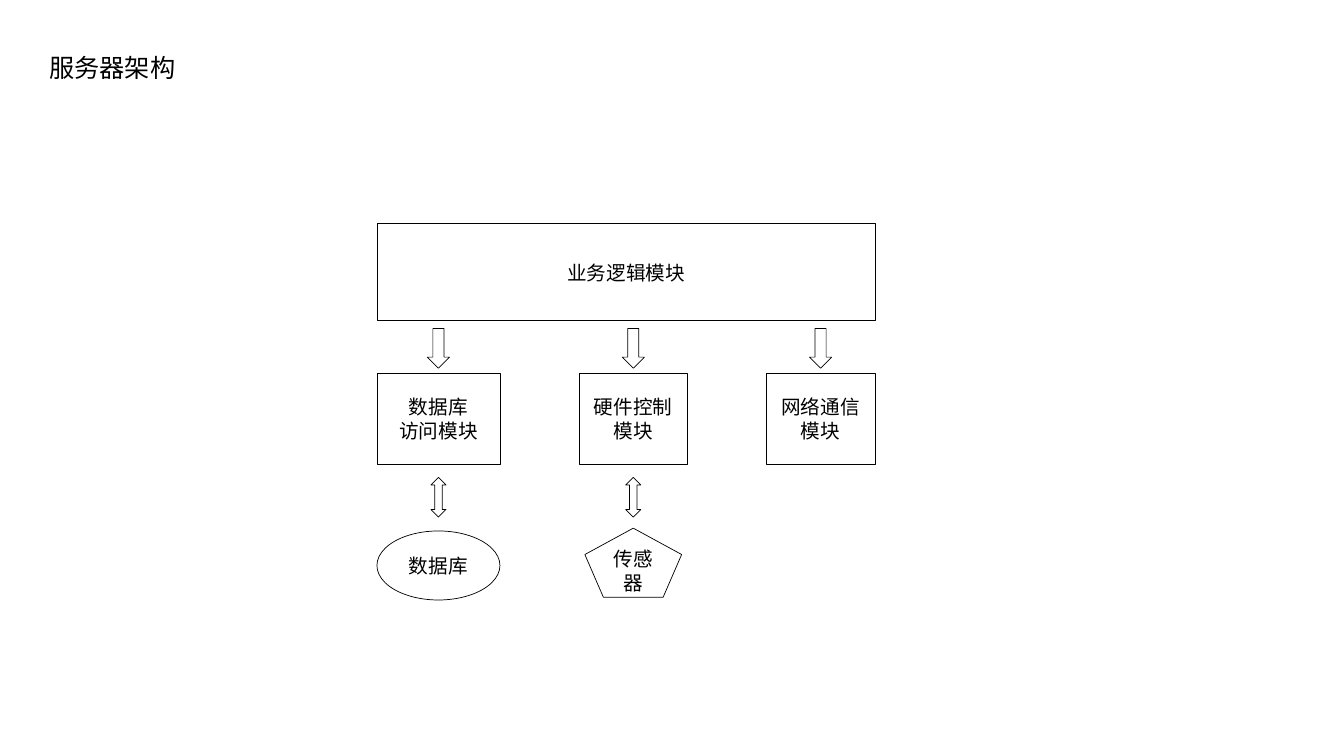
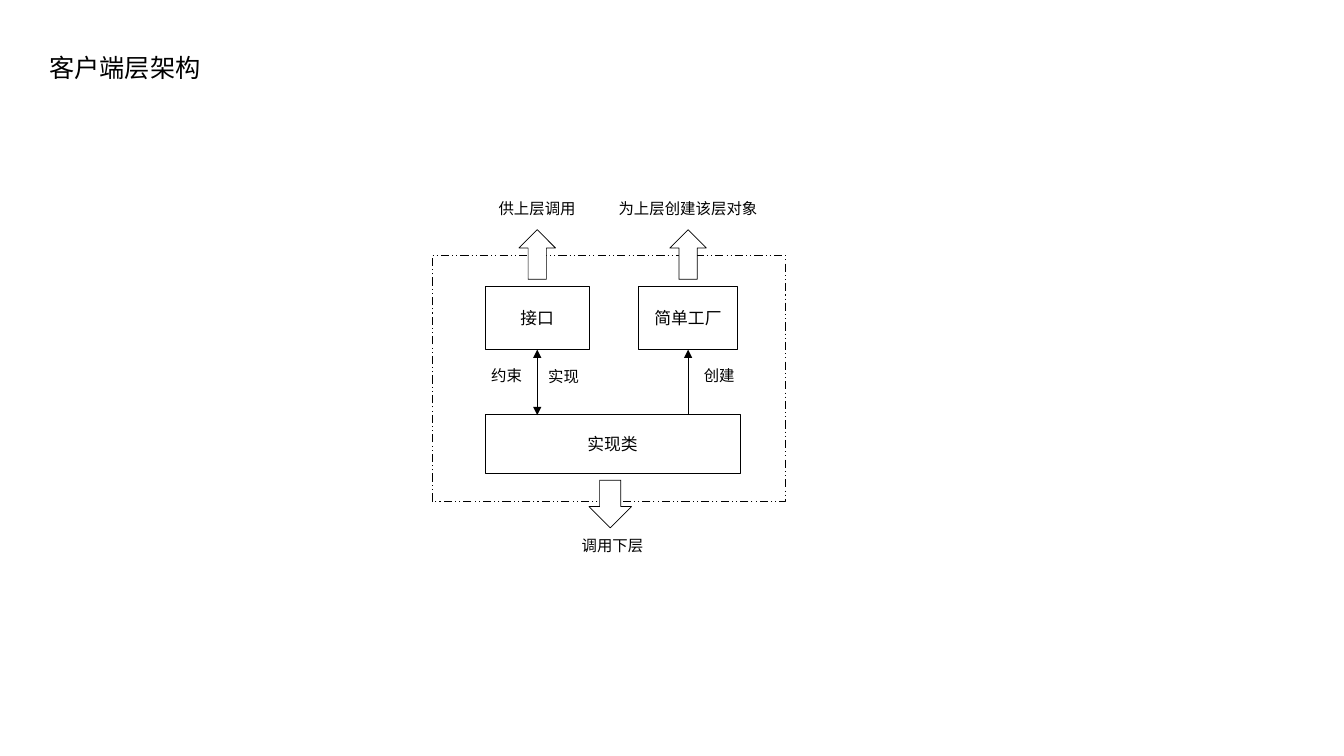
from dataclasses import dataclass
from typing import Any

from lxml.etree import SubElement
from pptx import Presentation
from pptx.dml.color import RGBColor
from pptx.enum.dml import MSO_LINE
from pptx.enum.shapes import MSO_CONNECTOR, MSO_SHAPE
from pptx.enum.text import MSO_ANCHOR, MSO_AUTO_SIZE, PP_ALIGN
from pptx.oxml.ns import qn
from pptx.util import Cm, Pt

FONT = "Noto Sans CJK SC"
INK, PAPER = "000000", "FFFFFF"
PAD = 0.51  # left and right inset of a text box together, cm
PT_CM = 2.54 / 72

BOX_TEXT = {"word_wrap": True, "vertical_anchor": MSO_ANCHOR.MIDDLE}
FREE_TEXT = {"word_wrap": False, "vertical_anchor": MSO_ANCHOR.TOP,
             "auto_size": MSO_AUTO_SIZE.NONE}


@dataclass
class Block:
    """A preset shape, placed by its centre line and top, in cm."""
    mid: float
    top: float
    width: float
    height: float
    kind: Any = MSO_SHAPE.RECTANGLE
    text: str = ""
    size: float = 14
    fill: bool = True
    weight: float = 0.5
    dash: Any = None


@dataclass
class Label:
    """A one-line text, placed by its centre line and top, in cm."""
    text: str
    mid: float
    top: float


@dataclass
class Link:
    """An upright line with arrowheads, in cm."""
    mid: float
    start: float
    end: float
    ends: tuple[str, ...]


def tint(code: str) -> RGBColor:
    """Turn a hex string into a colour."""
    return RGBColor.from_string(code)


def apply(item: Any, form: dict[str, Any]) -> None:
    """Set each named value on an object."""
    for name, value in form.items():
        setattr(item, name, value)


def write(frame: Any, text: str, size: float, align: Any, form: dict[str, Any]) -> None:
    """Fill a text frame, one paragraph a line, in the deck's font."""
    apply(frame, form)
    frame.text = text
    for para in frame.paragraphs:
        para.alignment = align
        for run in para.runs:
            apply(run.font, {"name": FONT, "size": Pt(size), "bold": False})
            run.font.color.rgb = tint(INK)
            SubElement(run.font._element, qn("a:ea"), typeface=FONT)


def span(text: str, size: float) -> float:
    """Width in cm of a box that holds full-width signs on one line."""
    return len(text) * size * PT_CM + PAD


def draw_block(slide: Any, item: Block) -> None:
    """Draw one outlined shape with its text."""
    shape = slide.shapes.add_shape(
        item.kind, Cm(item.mid - item.width / 2), Cm(item.top),
        Cm(item.width), Cm(item.height))
    shape.shadow.inherit = False
    if item.fill:
        shape.fill.solid()
        shape.fill.fore_color.rgb = tint(PAPER)
    else:
        shape.fill.background()
    shape.line.color.rgb = tint(INK)
    apply(shape.line, {"width": Pt(item.weight), "dash_style": item.dash})
    if item.text:
        write(shape.text_frame, item.text, item.size, PP_ALIGN.CENTER, BOX_TEXT)


def draw_label(slide: Any, item: Label) -> None:
    """Draw one small text."""
    wide = span(item.text, 11)
    box = slide.shapes.add_textbox(
        Cm(item.mid - wide / 2), Cm(item.top), Cm(wide), Cm(0.74))
    write(box.text_frame, item.text, 11, PP_ALIGN.LEFT, FREE_TEXT)


def draw_link(slide: Any, item: Link) -> None:
    """Draw one line with its arrowheads."""
    line = slide.shapes.add_connector(
        MSO_CONNECTOR.STRAIGHT, Cm(item.mid), Cm(item.start),
        Cm(item.mid), Cm(item.end))
    line.line.color.rgb = tint(INK)
    line.line.width = Pt(0.5)
    stroke = line.line._get_or_add_ln()
    for end in item.ends:
        SubElement(stroke, qn(f"a:{end}"), type="triangle")
    SubElement(line._element.spPr, qn("a:effectLst"))


DRAW = {Block: draw_block, Label: draw_label, Link: draw_link}


def add_page(deck: Any, title: str, items: list[Any]) -> None:
    """Add a slide with a title and draw its items from back to front."""
    slide = deck.slides.add_slide(deck.slide_layouts[5])
    head = slide.shapes.title
    apply(head, {"left": Cm(0.99), "top": Cm(1.19),
                 "width": Cm(span(title, 18)), "height": Cm(1.02)})
    write(head.text_frame, title, 18, PP_ALIGN.LEFT, FREE_TEXT)
    for item in items:
        DRAW[type(item)](slide, item)


def server() -> list[Any]:
    """List the parts of the server: logic, modules and what they drive."""
    data, ware, net = 11.05, 15.96, 20.68
    parts = [Block(15.78, 5.64, 12.55, 2.44, text="业务逻辑模块")]
    for mid, wide, text in ((data, 3.1, "数据库\n访问模块"),
                            (ware, 2.74, "硬件控制模块"),
                            (net, 2.74, "网络通信模块")):
        parts += [Block(mid, 9.4, wide, 2.3, text=text),
                  Block(mid, 8.28, 0.56, 1, MSO_SHAPE.DOWN_ARROW)]
    for mid, top, wide, kind, text in (
            (data, 13.38, 3.1, MSO_SHAPE.OVAL, "数据库"),
            (ware, 13.31, 2.44, MSO_SHAPE.REGULAR_PENTAGON, "传感器")):
        parts += [Block(mid, top, wide, 1.74, kind, text),
                  Block(mid, 12.03, 0.38, 1, MSO_SHAPE.UP_DOWN_ARROW)]
    return parts


def client() -> list[Any]:
    """List the parts of a client layer and its links to other layers."""
    face, plant, core = 13.54, 17.34, 15.44
    parts = [Block(15.34, 6.43, 8.9, 6.2, fill=False, weight=0.75,
                   dash=MSO_LINE.DASH_DOT_DOT),
             Block(core, 10.44, 6.43, 1.5, text="实现类", size=12)]
    for mid, wide, text, use in ((face, 2.62, "接口", "供上层调用"),
                                 (plant, 2.49, "简单工厂", "为上层创建该层对象")):
        parts += [Block(mid, 7.21, wide, 1.6, text=text, size=12),
                  Block(mid, 5.79, 0.92, 1.25, MSO_SHAPE.UP_ARROW),
                  Label(use, mid, 4.9)]
    return parts + [
        Block(15.38, 12.1, 1.07, 1.2, MSO_SHAPE.DOWN_ARROW),
        Label("调用下层", core, 13.39),
        Label("约束", 12.77, 9.09),
        Label("实现", 14.21, 9.12),
        Label("创建", 18.13, 9.1),
        Link(plant, 10.44, 8.81, ("tailEnd",)),
        Link(face, 8.81, 10.46, ("headEnd", "tailEnd")),
    ]


def main() -> None:
    """Build both slides and save them."""
    deck = Presentation()
    apply(deck, {"slide_width": Cm(33.87), "slide_height": Cm(19.05)})
    add_page(deck, "服务器架构", server())
    add_page(deck, "客户端层架构", client())
    deck.save("out.pptx")


main()
